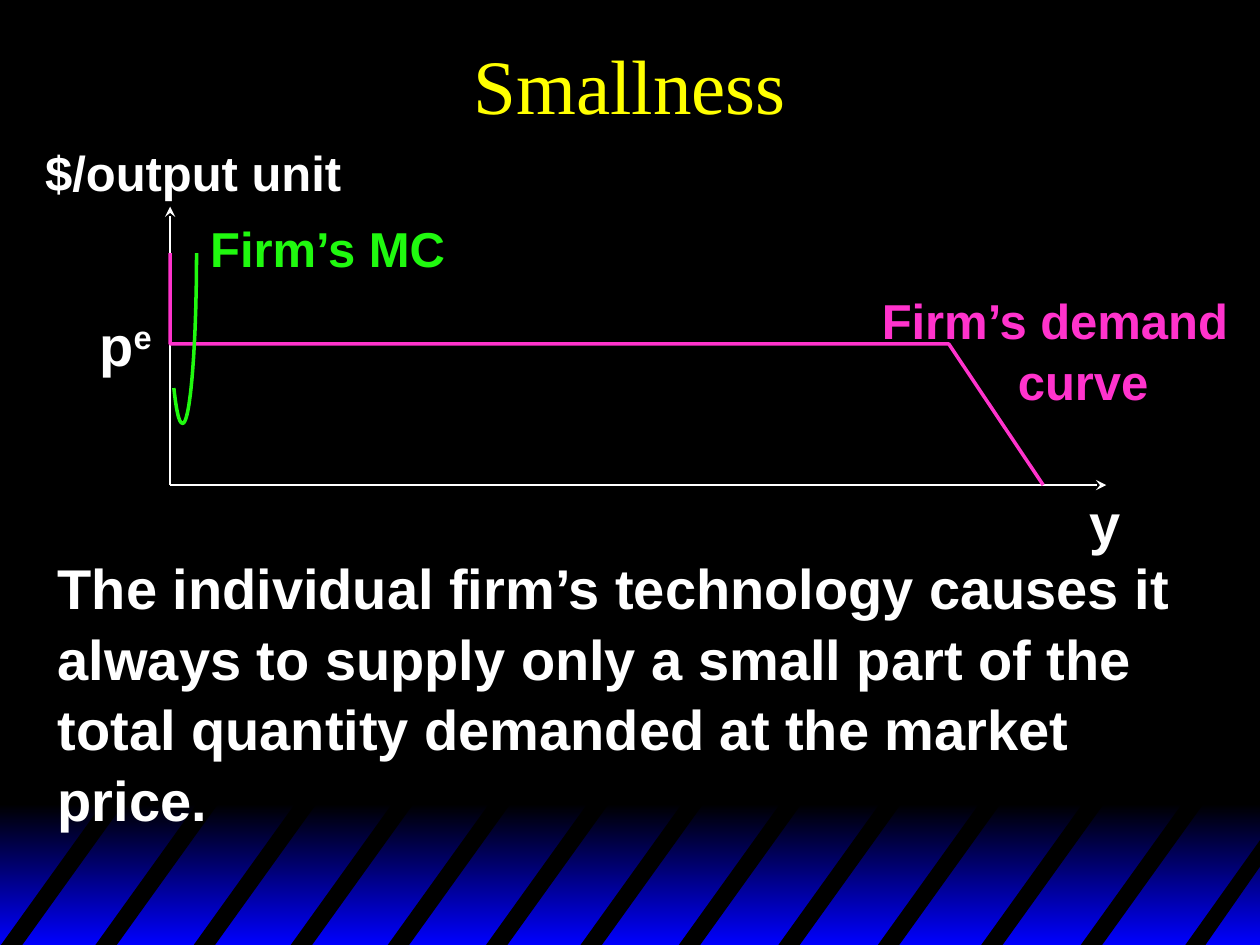
from collections import namedtuple

from lxml import etree
from pptx import Presentation
from pptx import util as u
from pptx.dml.color import RGBColor
from pptx.enum import shapes, text
from pptx.oxml.ns import qn

COLORS = {
    "black": "000000",
    "blue": "0000FF",
    "white": "FFFFFF",
    "title": "FFFF00",
    "demand": "FF33CC",
    "cost": "20F90F",
}
CELL = u.Inches(0.1)
COLUMNS, ROWS = 100, 75
STRIPE_STARTS = (0, 7.5, 15.3, 23, 30.7, 38.5, 46, 53.8, 61.7, 69.6, 77.8, 85.7)

Box = namedtuple("Box", "left top width height")


def cells(*values):
    return [round(value * CELL) for value in values]


def color(name):
    return RGBColor.from_string(COLORS[name])


def add_outline(page, box, points, line=None, fill=None):
    placed = [cells(box.left + x, box.top + y) for x, y in points]
    builder = page.shapes.build_freeform(*placed[0], scale=1.0)
    builder.add_line_segments(placed[1:], close=fill is not None)
    outline = builder.convert_to_shape()
    outline.shadow.inherit = False
    if fill:
        outline.fill.solid()
        outline.fill.fore_color.rgb = color(fill)
    else:
        outline.fill.background()
    if line:
        outline.line.color.rgb = color(line)
        outline.line.width = u.Pt(2)
    else:
        outline.line.fill.background()


def add_text(page, box, lines, size, shade, font="Arial", wrap=False):
    label = page.shapes.add_textbox(*cells(*box))
    frame = label.text_frame
    frame.word_wrap = wrap
    frame.text = "\n".join(lines)
    for para in frame.paragraphs:
        para.line_spacing = 1.05
        for span in para.runs:
            span.font.name = font
            span.font.size = u.Pt(size)
            span.font.bold = True
            span.font.color.rgb = color(shade)
    return frame


def add_axis(page, start, end):
    axis = page.shapes.add_connector(
        shapes.MSO_CONNECTOR.STRAIGHT, *cells(*start), *cells(*end))
    axis.line.color.rgb = color("white")
    axis.line.width = u.Pt(1)
    etree.SubElement(axis.line._get_or_add_ln(), qn("a:tailEnd"), type="stealth")
    etree.SubElement(axis._element.spPr, qn("a:effectLst"))


def bezier(p0, p1, p2, p3, steps=24):
    points = []
    for step in range(steps + 1):
        t = step / steps
        s = 1 - t
        weights = (s ** 3, 3 * s * s * t, 3 * s * t * t, t ** 3)
        points.append(tuple(
            sum(weight * value for weight, value in zip(weights, axis))
            for axis in zip(p0, p1, p2, p3)))
    return points


def draw_footer(page, box):
    band = page.shapes.add_shape(
        shapes.MSO_SHAPE.RECTANGLE, *cells(*box))
    band.shadow.inherit = False
    band.line.fill.background()
    band.fill.gradient()
    band.fill.gradient_angle = 270
    for stop, name, position in zip(
            band.fill.gradient_stops, ("black", "blue"), (0, 1)):
        stop.color.rgb = color(name)
        stop.position = position
    top, bottom, slant, thick = -0.4, box.height, 8.4, 1.7
    for start in STRIPE_STARTS:
        stripe = [(start, bottom), (start + slant, top),
                  (start + slant + thick, top), (start + thick, bottom)]
        add_outline(page, box, stripe, fill="black")
    last = [(94, bottom), (box.width, 2.6), (box.width, 4.7), (95.6, bottom)]
    add_outline(page, box, last, fill="black")


def draw_title(page, box):
    frame = add_text(page, box, ["Smallness"], 44, "title", "Times New Roman", True)
    frame.vertical_anchor = text.MSO_ANCHOR.MIDDLE
    para = frame.paragraphs[0]
    para.alignment = text.PP_ALIGN.CENTER
    para.line_spacing = 1.0
    para.runs[0].font.bold = False


def draw_plot(page, box):
    base = box.top + box.height
    origin = (box.left, base)
    add_axis(page, origin, (box.left, box.top))
    add_axis(page, origin, (box.left + box.width, base))

    price = 10.9
    demand = [(69.3, box.height), (61.8, price), (0, price), (0, 3.7)]
    add_outline(page, box, demand, line="demand")
    rise = bezier((2.1, 3.7), (2.1, 11.1), (1.6, 17.2), (1, 17.2))
    dip = bezier((1, 17.2), (0.7, 17.2), (0.5, 16.2), (0.3, 14.4))
    add_outline(page, box, rise + dip[1:], line="cost")

    def label(left, top, width, height, lines, size, shade):
        place = Box(box.left + left, box.top + top, width, height)
        return add_text(page, place, lines, size, shade)

    label(-10.9, -5.8, 25.6, 5.7, ["$/output unit"], 28, "white")
    label(72, 21.6, 4.5, 6.3, ["y"], 32, "white")
    label(2.2, 0.2, 20.8, 5.7, ["Firm’s MC"], 28, "cost")
    curve = label(55.5, 5.9, 29.7, 10.3, ["Firm’s demand", "curve"], 28, "demand")
    curve.paragraphs[1]._p.get_or_add_pPr().set("marL", str(cells(10.8)[0]))

    para = label(-6.6, 7.5, 6.3, 6.3, ["p"], 32, "white").paragraphs[0]
    span = para.add_run()
    span.text = "e"
    span.font.name = "Arial"
    span.font.size = u.Pt(32)
    span.font.bold = True
    span.font.color.rgb = color("white")
    span.font._element.set("baseline", "30000")


def draw_statement(page, box):
    lines = [
        "The individual firm’s technology causes it\v"
        "always to supply only a small part of the",
        "total quantity demanded at the market price.",
    ]
    add_text(page, box, lines, 32, "white", wrap=True)


def main():
    deck = Presentation()
    deck.slide_width, deck.slide_height = cells(COLUMNS, ROWS)
    page = deck.slides.add_slide(deck.slide_layouts[6])
    page.background.fill.solid()
    page.background.fill.fore_color.rgb = color("black")
    draw_footer(page, Box(0, 63.8, COLUMNS + 0.2, 11.3))
    draw_title(page, Box(0, 0, COLUMNS, 13.3))
    draw_plot(page, Box(13.5, 16.4, 74.3, 22.1))
    draw_statement(page, Box(3.6, 43.2, 93.5, 17))
    deck.save("out.pptx")


if __name__ == "__main__":
    main()
